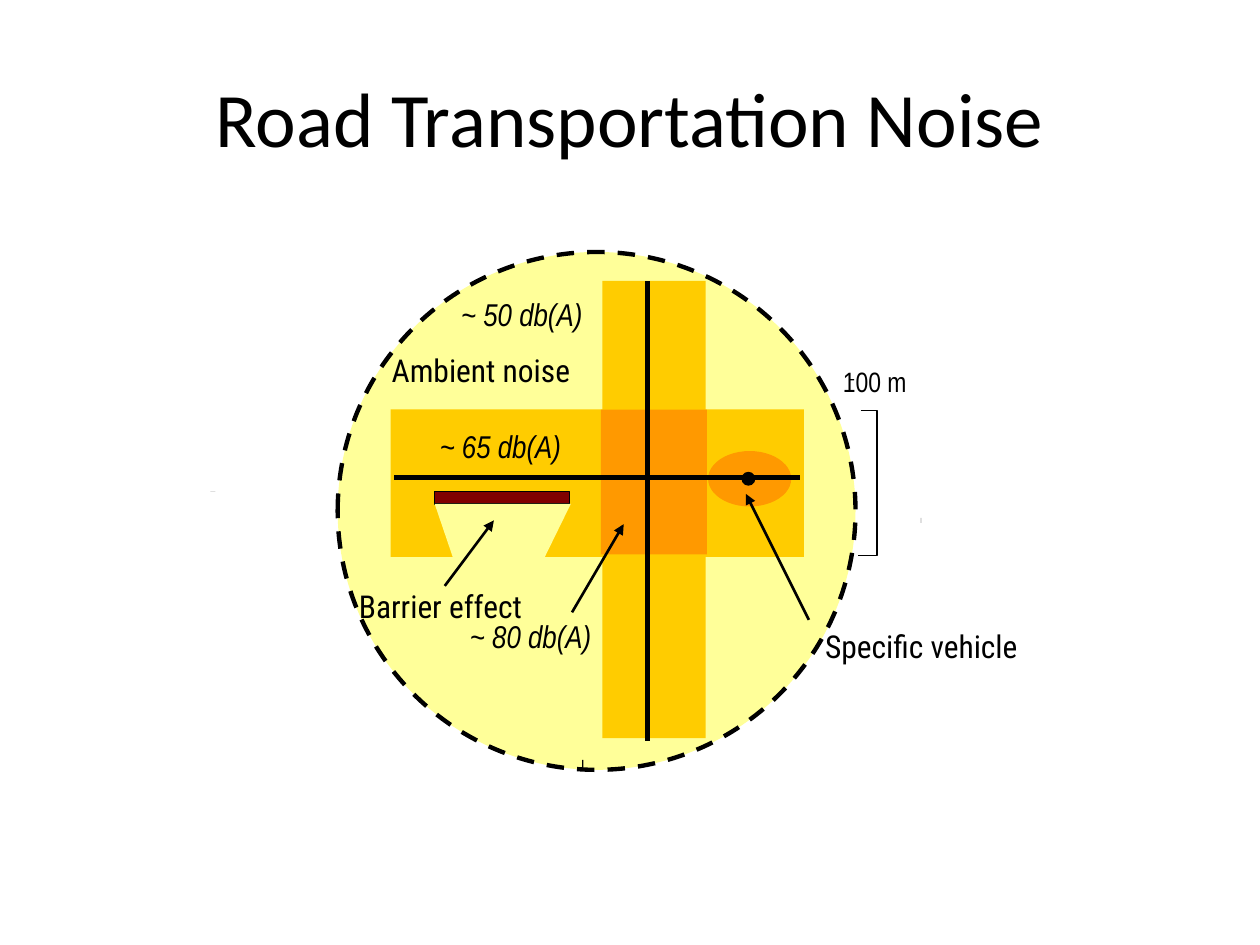
from typing import NamedTuple, Optional

from pptx import Presentation
from pptx.dml.color import RGBColor
from pptx.enum.dml import MSO_LINE_DASH_STYLE as Dash
from pptx.enum.shapes import MSO_CONNECTOR as Link, MSO_SHAPE as Preset
from pptx.enum.text import MSO_ANCHOR as Anchor, MSO_AUTO_SIZE as Fit, PP_ALIGN as Align
from pptx.oxml.ns import qn
from pptx.util import Inches, Pt
from lxml.etree import SubElement

BLACK, PALE, GOLD, ORANGE, MAROON = "000000", "FFFF99", "FFCC00", "FF9900", "800000"


class Area(NamedTuple):
    left: float
    top: float
    width: float
    height: float
    fill: str
    preset: Preset = Preset.RECTANGLE
    line: Optional[float] = None
    dash: Optional[Dash] = None


class Label(NamedTuple):
    text: str
    left: float
    top: float
    width: float
    height: float
    font: str = "Arial Narrow"
    size: int = 18
    italic: bool = False
    margins: tuple = (0, 0)


class Stroke(NamedTuple):
    start: tuple
    end: tuple
    weight: float
    arrow: bool = False


class Outline(NamedTuple):
    points: tuple
    fill: Optional[str] = None
    line: Optional[float] = None


def color(value: str) -> RGBColor:
    return RGBColor.from_string(value)


def style(shape, fill: Optional[str], line: Optional[float]) -> None:
    shape.shadow.inherit = False
    if fill:
        shape.fill.solid()
        shape.fill.fore_color.rgb = color(fill)
    else:
        shape.fill.background()
    if line is None:
        shape.line.fill.background()
    else:
        shape.line.color.rgb = color(BLACK)
        shape.line.width = Pt(line)


def draw_area(slide, area: Area) -> None:
    shape = slide.shapes.add_shape(area.preset, *map(Inches, area[:4]))
    style(shape, area.fill, area.line)
    if area.dash:
        shape.line.dash_style = area.dash


def draw_outline(slide, outline: Outline) -> None:
    points = [(Inches(x), Inches(y)) for x, y in outline.points]
    builder = slide.shapes.build_freeform(*points[0])
    builder.add_line_segments(points[1:], close=outline.fill is not None)
    style(builder.convert_to_shape(), outline.fill, outline.line)


def draw_stroke(slide, stroke: Stroke) -> None:
    ends = map(Inches, stroke.start + stroke.end)
    connector = slide.shapes.add_connector(Link.STRAIGHT, *ends)
    connector.line.color.rgb = color(BLACK)
    connector.line.width = Pt(stroke.weight)
    if stroke.arrow:
        SubElement(connector.line._get_or_add_ln(), qn("a:tailEnd"), type="triangle")
    SubElement(connector._element.spPr, qn("a:effectLst"))


def draw_label(slide, label: Label):
    box = slide.shapes.add_textbox(*map(Inches, label[1:5]))
    frame = box.text_frame
    frame.word_wrap = False
    frame.auto_size = Fit.SHAPE_TO_FIT_TEXT
    side, edge = map(Inches, label.margins)
    frame.margin_left = frame.margin_right = side
    frame.margin_top = frame.margin_bottom = edge
    run = frame.paragraphs[0].add_run()
    run.text = label.text
    run.font.name = label.font
    run.font.size = Pt(label.size)
    run.font.italic = label.italic
    run.font.color.rgb = color(BLACK)
    return frame


def draw_title(slide, text: str) -> None:
    frame = draw_label(slide, Label(text, 0.5, 0.3, 9, 1.25, "Calibri", 44, margins=(0.1, 0.05)))
    frame.word_wrap = True
    frame.auto_size = Fit.NONE
    frame.vertical_anchor = Anchor.MIDDLE
    frame.paragraphs[0].alignment = Align.CENTER


def level(text: str, left: float, top: float) -> Label:
    return Label(text, left, top, 1.02, 0.3, italic=True)


def note(text: str, left: float, top: float, width: float) -> Label:
    return Label(text, left, top, width, 0.4, "Roboto Condensed", margins=(0.1, 0.05))


SCENE = (
    Area(1.67, 3.9, 0.04, 0, BLACK),
    Area(6.74, 3.01, 0.04, 0.01, BLACK),
    Area(7.31, 4.11, 0, 0.04, BLACK),
    Area(2.68, 2, 4.11, 4.11, PALE, Preset.OVAL, 2.5, Dash.DASH),
    Area(4.78, 2.23, 0.82, 3.63, GOLD),
    Area(3.1, 3.25, 3.28, 1.17, GOLD),
    Area(4.77, 3.25, 0.84, 1.15, ORANGE),
    Area(4.62, 6.03, 0.01, 0.08, BLACK),
    level("~ 80 db(A)", 3.73, 4.9),
    level("~ 65 db(A)", 3.49, 3.39),
    level("~ 50 db(A)", 3.66, 2.34),
    Outline(((6.83, 3.26), (6.96, 3.26), (6.96, 4.41), (6.81, 4.41)), line=0),
    Label("100 m", 6.69, 2.89, 0.55, 0.27, size=16),
    Stroke((4.54, 4.86), (4.95, 4.16), 1.5, True),
    Stroke((5.14, 5.88), (5.14, 2.23), 3),
    note("Ambient noise", 3.01, 2.74, 1.89),
    Area(3.45, 3.9, 1.07, 0.1, MAROON, line=0.75),
    Outline(((3.45, 4), (4.53, 4), (4.3, 4.47), (3.61, 4.47)), PALE),
    Area(5.62, 3.58, 0.66, 0.44, ORANGE, Preset.OVAL),
    Area(5.89, 3.75, 0.1, 0.1, BLACK, Preset.OVAL, 0.75),
    Stroke((3.13, 3.79), (6.35, 3.79), 3),
    Stroke((3.53, 4.65), (3.92, 4.13), 1.5, True),
    note("Barrier effect", 2.75, 4.61, 1.74),
    Stroke((6.42, 4.92), (5.92, 3.92), 1.5, True),
    note("Specific vehicle", 6.45, 4.93, 1.96),
)

PAINTERS = {Area: draw_area, Label: draw_label, Stroke: draw_stroke, Outline: draw_outline}


def main() -> None:
    """Build the road noise slide and save it."""
    deck = Presentation()
    deck.slide_width, deck.slide_height = Inches(10), Inches(7.5)
    slide = deck.slides.add_slide(deck.slide_layouts[6])
    draw_title(slide, "Road Transportation Noise")
    for item in SCENE:
        PAINTERS[type(item)](slide, item)
    deck.save("out.pptx")


if __name__ == "__main__":
    main()
